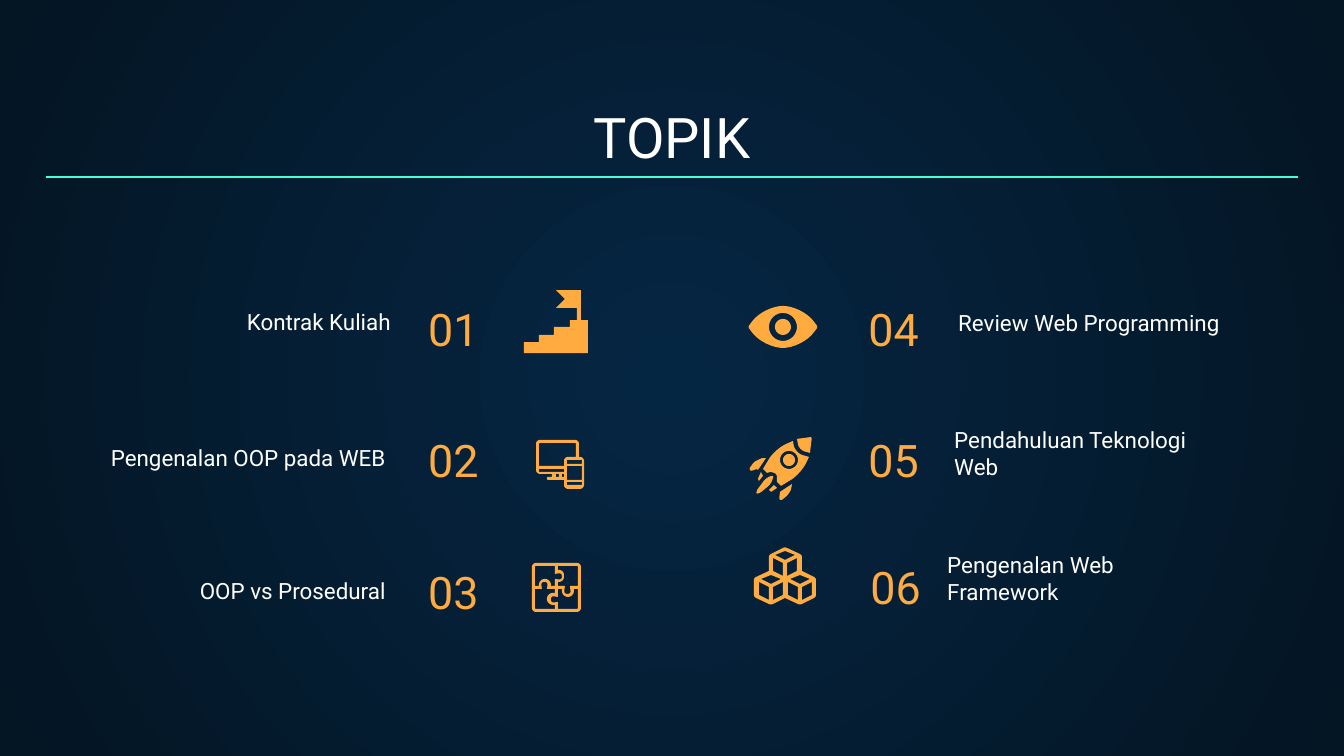
from math import hypot

from lxml.etree import SubElement
from pptx import Presentation
from pptx.dml.color import RGBColor
from pptx.enum.shapes import MSO_CONNECTOR
from pptx.enum.text import MSO_ANCHOR, PP_ALIGN
from pptx.oxml.ns import qn
from pptx.util import Pt

PX = 914400 / 134.4
WHITE, AMBER, MINT = "FFFFFF", "FFAB40", "48FFD5"
LEFT, MID, RIGHT = PP_ALIGN.LEFT, PP_ALIGN.CENTER, PP_ALIGN.RIGHT


def px(n):
    return round(n * PX)


def color(code):
    return RGBColor.from_string(code)


def toward(a, b, r):
    k = r / hypot(b[0] - a[0], b[1] - a[1])
    return a[0] + (b[0] - a[0]) * k, a[1] + (b[1] - a[1]) * k


def soften(points):
    out = []
    for i, (x, y, *rest) in enumerate(points):
        if not rest:
            out.append((x, y))
            continue
        a = toward((x, y), points[i - 1], rest[0])
        b = toward((x, y), points[(i + 1) % len(points)], rest[0])
        for t in (n / 8 for n in range(9)):
            u, v, w = (1 - t) ** 2, 1.41 * t * (1 - t), t * t
            out.append(tuple((u * p + v * c + w * q) / (u + v + w)
                             for p, c, q in zip(a, (x, y), b)))
    return [(px(x), px(y)) for x, y in out]


def box(x, y, w, h, r=0):
    spots = [(x, y), (x + w, y), (x + w, y + h), (x, y + h)]
    return [(*s, r) for s in spots] if r else spots


def disc(x, y, r):
    return box(x - r, y - r, 2 * r, 2 * r, r)


def cube(x, y):
    faces = [[(x, y - 9), (x + 10, y - 5), (x, y), (x - 10, y - 5)]]
    for s in (-1, 1):
        faces.append([(x + 12 * s, y - 2), (x + 2 * s, y + 3),
                      (x + 2 * s, y + 16), (x + 12 * s, y + 11)])
    return faces


class Deck:
    def __init__(self, wide, high, font):
        self.prs = Presentation()
        self.prs.slide_width, self.prs.slide_height = px(wide), px(high)
        self.font = font
        self.slide = self.prs.slides.add_slide(self.prs.slide_layouts[6])
        self.shapes = self.slide.shapes

    def glow(self, inner, outer):
        fill = self.slide.background.fill
        fill.gradient()
        for stop, code, at in zip(fill.gradient_stops, (inner, outer), (0, 1)):
            stop.color.rgb = color(code)
            stop.position = at
        grad = next(self.slide.element.iter(qn("a:gradFill")))
        grad.remove(grad.find(qn("a:lin")))
        round_ = SubElement(grad, qn("a:path"), {"path": "circle"})
        SubElement(round_, qn("a:fillToRect"), dict.fromkeys("ltrb", "50000"))

    def text(self, words, x, y, w, h, size, code, align):
        frame = self.shapes.add_textbox(*map(px, (x, y, w, h))).text_frame
        frame.word_wrap = True
        frame.vertical_anchor = MSO_ANCHOR.BOTTOM
        frame.margin_top = frame.margin_bottom = px(13)
        para = frame.paragraphs[0]
        para.alignment = align
        run = para.add_run()
        run.text = words
        run.font.name, run.font.size = self.font, Pt(size)
        run.font.color.rgb = color(code)

    def rule(self, x, y, end, code):
        line = self.shapes.add_connector(
            MSO_CONNECTOR.STRAIGHT, px(x), px(y), px(end), px(y))
        line.line.color.rgb = color(code)
        line.line.width = Pt(0.75)
        SubElement(line.element.spPr, qn("a:effectLst"))

    def icon(self, *loops):
        first, *others = map(soften, loops)
        pen = self.shapes.build_freeform(*first[0])
        pen.add_line_segments(first[1:])
        for loop in others:
            pen.move_to(*loop[0])
            pen.add_line_segments(loop[1:])
        shape = pen.convert_to_shape()
        shape.shadow.inherit = False
        shape.fill.solid()
        shape.fill.fore_color.rgb = color(AMBER)
        shape.line.fill.background()


STAIRS = [
    (556, 290), (565, 299), (556, 308), (577, 308), (577, 320), (570, 320),
    (570, 327), (554, 327), (554, 335), (539, 335), (539, 342), (524, 342),
    (524, 353), (588, 353), (588, 320), (581, 320), (581, 290)]
EYE = [(748, 327, 2), (764, 306, 19), (802, 306, 19),
       (818, 327, 2), (802, 348, 19), (764, 348, 19)]
SCREENS = [
    [(536, 440, 4), (579, 440, 4), (579, 457), (584, 457, 4), (584, 489, 4),
     (564, 489, 4), (564, 480), (547, 480, 1), (547, 477, 1), (552, 477),
     (552, 474), (536, 474, 4)],
    [(539, 443, 1), (576, 443, 1), (576, 457), (564, 457, 4), (564, 466),
     (539, 466)],
    box(539, 469, 25, 3), box(556, 474, 3, 3), box(562, 474, 2, 3),
    box(567, 460, 15, 4), box(567, 466, 15, 14), box(567, 482, 15, 3)]
STACK = [
    (785, 547, 2), (802, 555, 2), (802, 571), (816, 578, 2), (816, 597, 2),
    (800, 605, 2), (785, 598), (771, 605, 2), (754, 597, 2), (754, 578, 2),
    (769, 571), (769, 555, 2)]
PUZZLE = [
    box(532, 563, 49, 49, 4),
    [(535, 566, 1), (555, 566), (555, 574), (562, 573, 3), (562, 580, 3),
     (555, 579), (555, 586), (551, 586), (551, 579, 6), (539, 579, 6),
     (539, 586), (535, 586)],
    [(558, 566), (578, 566, 1), (578, 586), (570, 586), (571, 594, 3),
     (564, 594, 3), (565, 586), (558, 586), (558, 582), (564, 582, 5),
     (564, 570, 5), (558, 570)],
    [(535, 589), (542, 589), (541, 582, 3), (548, 582, 3), (547, 589),
     (555, 589), (555, 593), (547, 593, 6), (547, 605, 6), (555, 605),
     (555, 609), (535, 609, 1)],
    [(558, 589), (562, 589), (562, 597, 6), (574, 597, 6), (574, 589),
     (578, 589), (578, 609, 1), (558, 609), (558, 602), (551, 603, 3),
     (551, 596, 3), (558, 597)]]
ROCKET = [
    [[(761, 472), (758, 479, 1), (759, 481), (763, 476)]],
    [[(774, 485), (769, 490), (771, 492, 1), (777, 488)]],
    [[(766, 478, 4), (757, 490, 2), (756, 494, 2), (760, 493, 2),
      (771, 484, 4), (774, 475, 3)]],
    [[(766, 458), (762, 458, 2), (754, 462, 2), (749, 469, 2), (751, 471, 1),
      (757, 469), (758, 470)]],
    [[(792, 484), (780, 492), (779, 500, 2), (782, 500, 1), (788, 495, 3),
      (791, 490, 2)]],
    [disc(789, 460, 6)],
    [[(797, 439), (812, 437, 2), (810, 453), (799, 450, 6)]],
    [[(793, 441), (775, 449, 12), (763, 469), (767, 473), (771, 472),
      (777, 474, 3), (777, 482), (781, 486), (801, 474, 12), (809, 457),
      (795, 453, 8)], disc(789, 460, 9)]]
TOPICS = [
    ("01", 415, 280, "Kontrak Kuliah", 100, 320),
    ("02", 415, 411, "Pengenalan OOP pada WEB", 95, 456),
    ("03", 415, 543, "OOP vs Prosedural", 95, 589),
    ("04", 759, 280, "Review Web Programming", 945, 321),
    ("05", 759, 411, "Pendahuluan Teknologi Web", 941, 465),
    ("06", 761, 538, "Pengenalan Web Framework", 934, 590)]


def main():
    deck = Deck(1344, 756, "Roboto")
    deck.glow("052643", "041523")
    deck.text("TOPIK", 46, 94, 1252, 89, 30, WHITE, MID)
    deck.rule(46, 177, 1298, MINT)
    for num, x, y, name, left, top in TOPICS:
        near, far = (LEFT, RIGHT) if x < 672 else (RIGHT, LEFT)
        deck.text(num, x, y, 173, 89, 24, AMBER, near)
        deck.text(name, left, top, 304, 28, 12, WHITE, far)
    deck.icon(STAIRS)
    deck.icon(EYE, disc(783, 327, 14), disc(783, 327, 8))
    deck.icon(*SCREENS)
    deck.icon(STACK, *cube(785, 560), *cube(771, 584), *cube(800, 584))
    deck.icon(*PUZZLE)
    for part in ROCKET:
        deck.icon(*part)
    deck.prs.save("out.pptx")


if __name__ == "__main__":
    main()
